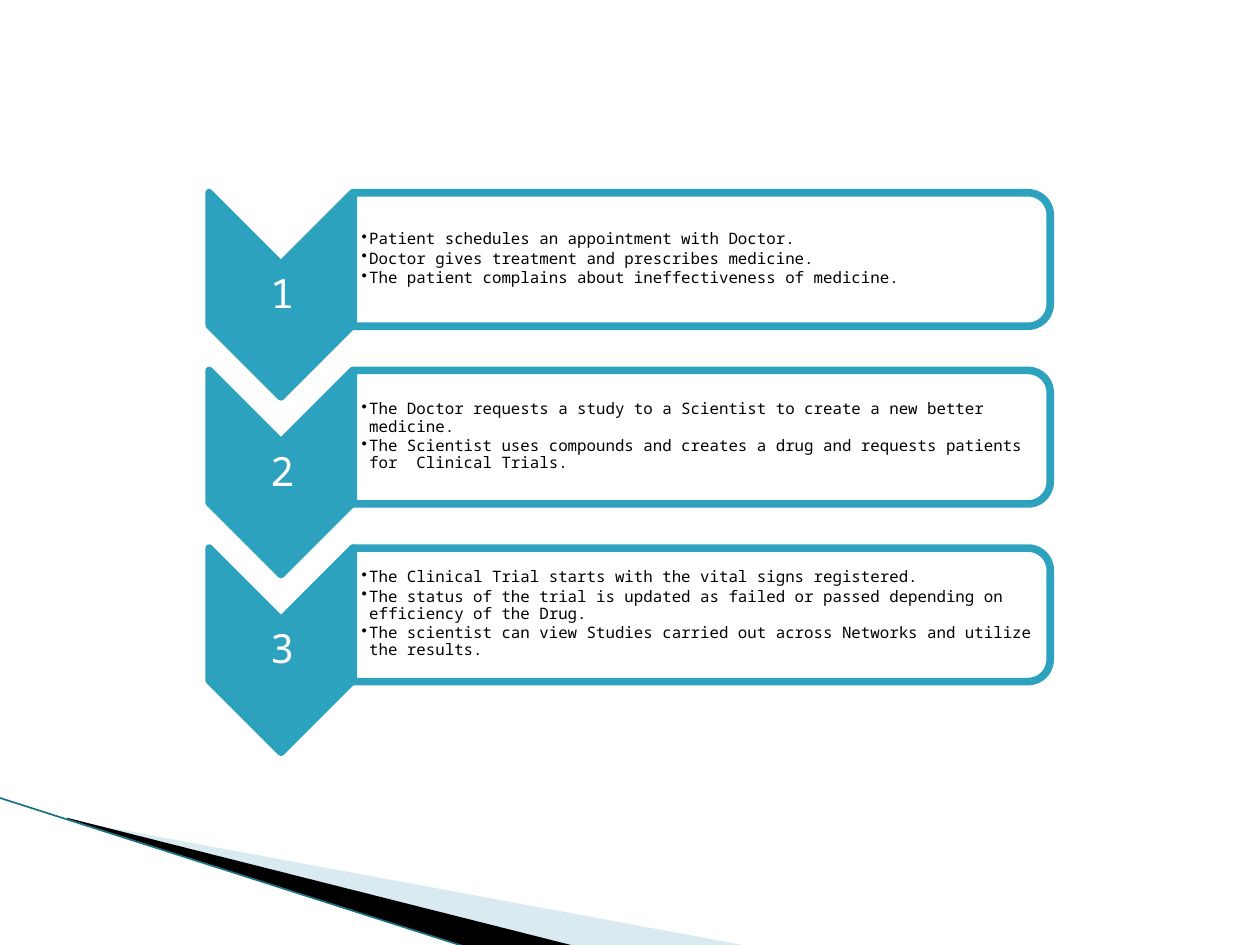
import pptx
import pptx.util
import pptx.dml.color
import pptx.enum.shapes
import pptx.enum.text
import pptx.oxml
import pptx.oxml.ns
import lxml.etree

Inches = pptx.util.Inches
Pt = pptx.util.Pt
RGBColor = pptx.dml.color.RGBColor
SHAPE = pptx.enum.shapes.MSO_SHAPE
ALIGN = pptx.enum.text.PP_ALIGN
qn = pptx.oxml.ns.qn

TEAL = RGBColor(0x2D, 0xA2, 0xBF)
DARK_TEAL = RGBColor(0x1A, 0x70, 0x85)
PALE_BLUE = RGBColor(0xA0, 0xCB, 0xDC)
BLACK = RGBColor(0, 0, 0)
WHITE = RGBColor(0xFF, 0xFF, 0xFF)
FONT = "Noto Sans Mono"

STEP_TOP = 1.53
STEP_PITCH = 1.41
STEPS = [
    ["Patient schedules an appointment with Doctor.",
     "Doctor gives treatment and prescribes medicine.",
     "The patient complains about ineffectiveness of medicine."],
    ["The Doctor requests a study to a Scientist to create a new better medicine.",
     "The Scientist uses compounds and creates a drug and requests patients "
     "for  Clinical Trials. "],
    ["The Clinical Trial starts with the vital signs registered.",
     "The status of the trial is updated as failed or passed depending on "
     "efficiency of the Drug.",
     "The scientist can view Studies carried out across Networks and utilize "
     "the results."],
]


def fill_shape(shape, color, opacity=100):
    shape.shadow.inherit = False
    shape.fill.solid()
    shape.fill.fore_color.rgb = color
    if opacity < 100:
        color_node = shape.fill._xPr.find(qn("a:solidFill"))[0]
        lxml.etree.SubElement(color_node, qn("a:alpha"), val=str(opacity * 1000))


def add_wedge(slide, points, color, opacity=100):
    corners = [(Inches(x), Inches(y)) for x, y in points]
    builder = slide.shapes.build_freeform(*corners[0], scale=1.0)
    builder.add_line_segments(corners[1:], close=True)
    wedge = builder.convert_to_shape()
    fill_shape(wedge, color, opacity)
    wedge.line.fill.background()


def add_edge(slide, start, end, color, width):
    edge = slide.shapes.add_connector(
        pptx.enum.shapes.MSO_CONNECTOR.STRAIGHT,
        *[Inches(value) for value in start + end])
    edge.line.color.rgb = color
    edge.line.width = Pt(width)
    lxml.etree.SubElement(edge._element.spPr, qn("a:effectLst"))


def add_turned_shape(slide, preset, center, size, color, opacity=100):
    """Add a preset shape turned a quarter clockwise about its center."""
    (x, y), (width, height) = center, size
    turned = slide.shapes.add_shape(
        preset, Inches(x - width / 2), Inches(y - height / 2),
        Inches(width), Inches(height))
    turned.rotation = 90
    fill_shape(turned, color, opacity)
    turned.line.color.rgb = TEAL
    turned.line.width = Pt(4.33)


def add_text(slide, lines, box, *, size, color, margins, align=ALIGN.LEFT,
             space_after=0, bullet=None):
    text_box = slide.shapes.add_textbox(*[Inches(value) for value in box])
    frame = text_box.text_frame
    frame.word_wrap = True
    frame.vertical_anchor = pptx.enum.text.MSO_ANCHOR.MIDDLE
    (frame.margin_left, frame.margin_top,
     frame.margin_right, frame.margin_bottom) = [Inches(m) for m in margins]
    for index, line in enumerate(lines):
        paragraph = frame.add_paragraph() if index else frame.paragraphs[0]
        paragraph.alignment = align
        paragraph.line_spacing = 0.9
        paragraph.space_after = Pt(space_after)
        run = paragraph.add_run()
        run.text = line
        run.font.name = FONT
        run.font.size = Pt(size)
        run.font.color.rgb = color
        if bullet:
            paragraph.level = 1
            properties = paragraph._p.get_or_add_pPr()
            properties.set("marL", str(Inches(0.06)))
            properties.set("indent", str(Inches(-0.06)))
            lxml.etree.SubElement(properties, qn("a:buChar"), char=bullet)


def add_step(slide, number, points):
    top = STEP_TOP + (number - 1) * STEP_PITCH
    # Numbered chevron
    add_turned_shape(slide, SHAPE.CHEVRON, (2.23, top + 0.81), (1.62, 1.14), TEAL)
    add_text(slide, [str(number)], (1.67, top + 0.57, 1.14, 0.49), size=23,
             color=WHITE, margins=[0.02] * 4, align=ALIGN.CENTER)
    # Description panel
    add_turned_shape(slide, SHAPE.ROUND_2_SAME_RECTANGLE, (5.57, top + 0.53),
                     (1.06, 5.53), WHITE, opacity=90)
    add_text(slide, points, (2.8, top + 0.05, 5.48, 0.95), size=9, color=BLACK,
             margins=[0.07, 0.01, 0.01, 0.01], space_after=1.35, bullet="\u2022")


def main():
    presentation = pptx.Presentation()
    presentation.slide_width = Inches(10)
    presentation.slide_height = Inches(7.5)
    slide = presentation.slides.add_slide(presentation.slide_layouts[6])

    # Corner decoration
    add_wedge(slide, [(0.55, 6.51), (5.95, 7.51), (4.56, 7.51), (0.55, 6.5)],
              PALE_BLUE, opacity=40)
    add_wedge(slide, [(0.53, 6.49), (4.57, 7.51), (3.72, 7.52), (0.54, 6.5)], BLACK)
    add_edge(slide, (-0.01, 6.33), (3.71, 7.52), DARK_TEAL, 0.95)

    # Process steps
    for number, points in enumerate(STEPS, start=1):
        add_step(slide, number, points)

    presentation.save("out.pptx")


main()
